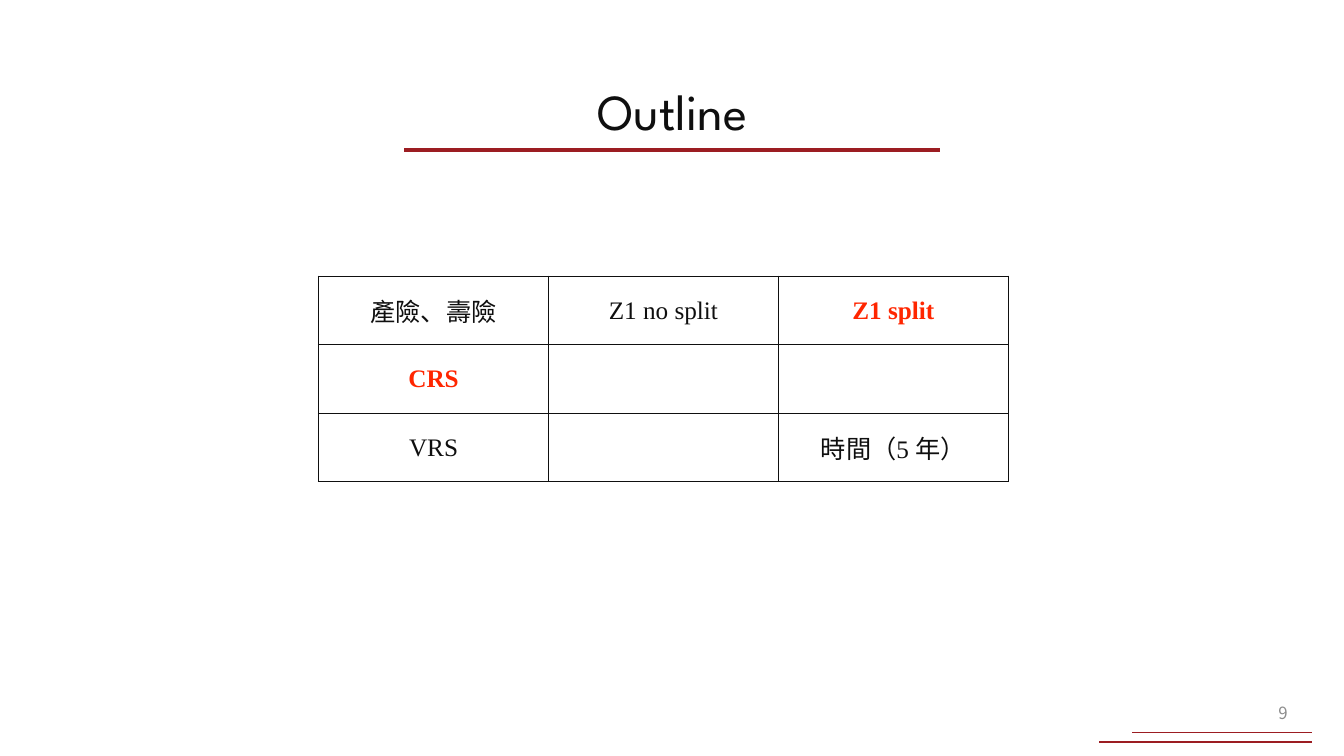
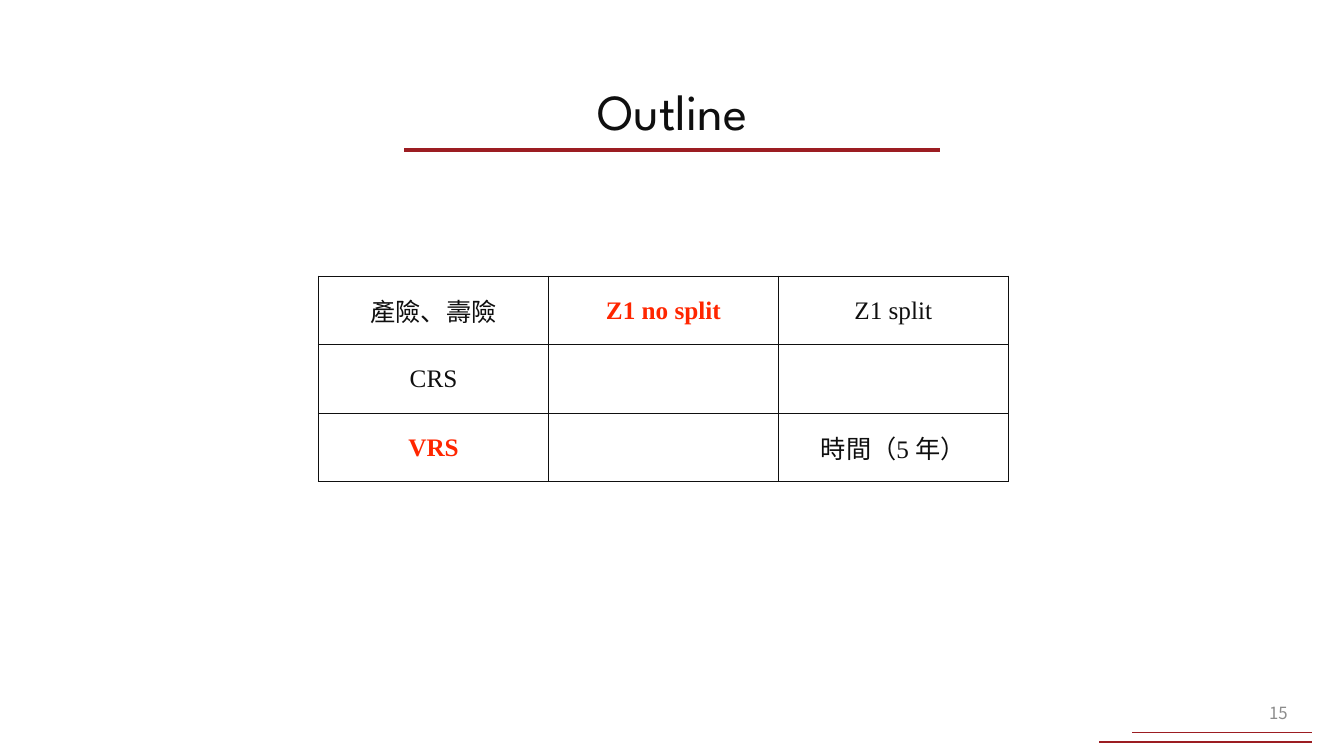
from lxml import etree
from pptx import Presentation
from pptx import util as u
from pptx.dml.color import RGBColor
from pptx.enum import shapes, text
from pptx.oxml.ns import qn

EMU_PER_PX = 9144  # 100 px to the inch

INK = RGBColor(0x0F, 0x0F, 0x0F)
CRIMSON = RGBColor(0x9C, 0x1D, 0x22)
HIGHLIGHT = RGBColor(0xFF, 0x26, 0x00)
GREY = RGBColor(0x8C, 0x8C, 0x8C)

TITLE_FONT = "League Spartan"
CJK_FONT = "Noto Sans CJK TC"
TABLE_FONT = "Times New Roman"

GRID = [
    ["產險、壽險", "Z1 no split", "Z1 split"],
    ["CRS", "", ""],
    ["VRS", "", "時間（5 年）"],
]
# Page number and the table entries to highlight
PAGES = [
    (9, {"Z1 split", "CRS"}),
    (15, {"Z1 no split", "VRS"}),
]


def px(length):
    return u.Emu(length * EMU_PER_PX)


class OutlineDeck:
    def __init__(self):
        self.deck = Presentation()
        self.deck.slide_width, self.deck.slide_height = px(1333), px(750)
        self.page = None

    def add_page(self, number):
        """Start a slide with the shared rules, title and page number."""
        self.page = self.deck.slides.add_slide(self.deck.slide_layouts[6])
        self.rule(401, 932, 149, 2.5)
        self.rule(1090, 1301, 736, 1.5)
        self.rule(1123, 1301, 727, 1)
        title = self.text_box(569, 75, 196, 71, "Outline", TITLE_FONT, 36, INK,
                              text.PP_ALIGN.CENTER)
        title.word_wrap = False
        title.auto_size = text.MSO_AUTO_SIZE.SHAPE_TO_FIT_TEXT
        footer = self.text_box(1140, 687, 147, 40, str(number), CJK_FONT, 12, GREY,
                               text.PP_ALIGN.RIGHT)
        footer.word_wrap = True
        footer.vertical_anchor = text.MSO_ANCHOR.MIDDLE

    def rule(self, left, right, y, weight):
        """Draw a horizontal line."""
        line = self.page.shapes.add_connector(
            shapes.MSO_CONNECTOR.STRAIGHT, px(left), px(y), px(right), px(y))
        line.line.color.rgb = CRIMSON
        line.line.width = u.Pt(weight)
        etree.SubElement(line._element.spPr, qn("a:effectLst"))

    def text_box(self, left, top, width, height, words, font, size, color, align):
        box = self.page.shapes.add_textbox(px(left), px(top), px(width), px(height))
        self.add_words(box.text_frame, words, font, size, color, align)
        return box.text_frame

    def add_words(self, frame, words, font, size, color, align, bold=False):
        para = frame.paragraphs[0]
        para.alignment = align
        span = para.add_run()
        span.text = words
        span.font.name = font
        span.font.size = u.Pt(size)
        span.font.bold = bold
        span.font.color.rgb = color
        etree.SubElement(span.font._element, qn("a:ea"), typeface=CJK_FONT)

    def table(self, left, top, column_width, row_height, grid, highlighted):
        rows, columns = len(grid), len(grid[0])
        table = self.page.shapes.add_table(
            rows, columns, px(left), px(top),
            px(column_width * columns), px(row_height * rows)).table
        table.first_row = table.horz_banding = False
        for row, entries in zip(table.rows, grid):
            for cell, words in zip(row.cells, entries):
                self.border(cell)
                cell.fill.background()
                cell.vertical_anchor = text.MSO_ANCHOR.MIDDLE
                if words:
                    marked = words in highlighted
                    self.add_words(cell.text_frame, words, TABLE_FONT, 18,
                                   HIGHLIGHT if marked else INK,
                                   text.PP_ALIGN.CENTER, marked)

    def border(self, cell):
        properties = cell._tc.get_or_add_tcPr()
        for side in ("a:lnL", "a:lnR", "a:lnT", "a:lnB"):
            line = etree.SubElement(properties, qn(side), w=str(int(u.Pt(1))))
            fill = etree.SubElement(line, qn("a:solidFill"))
            etree.SubElement(fill, qn("a:srgbClr"), val=str(INK))


def main():
    outline = OutlineDeck()
    for number, highlighted in PAGES:
        outline.add_page(number)
        outline.table(316, 274, 228, 68, GRID, highlighted)
    outline.deck.save("out.pptx")


if __name__ == "__main__":
    main()
